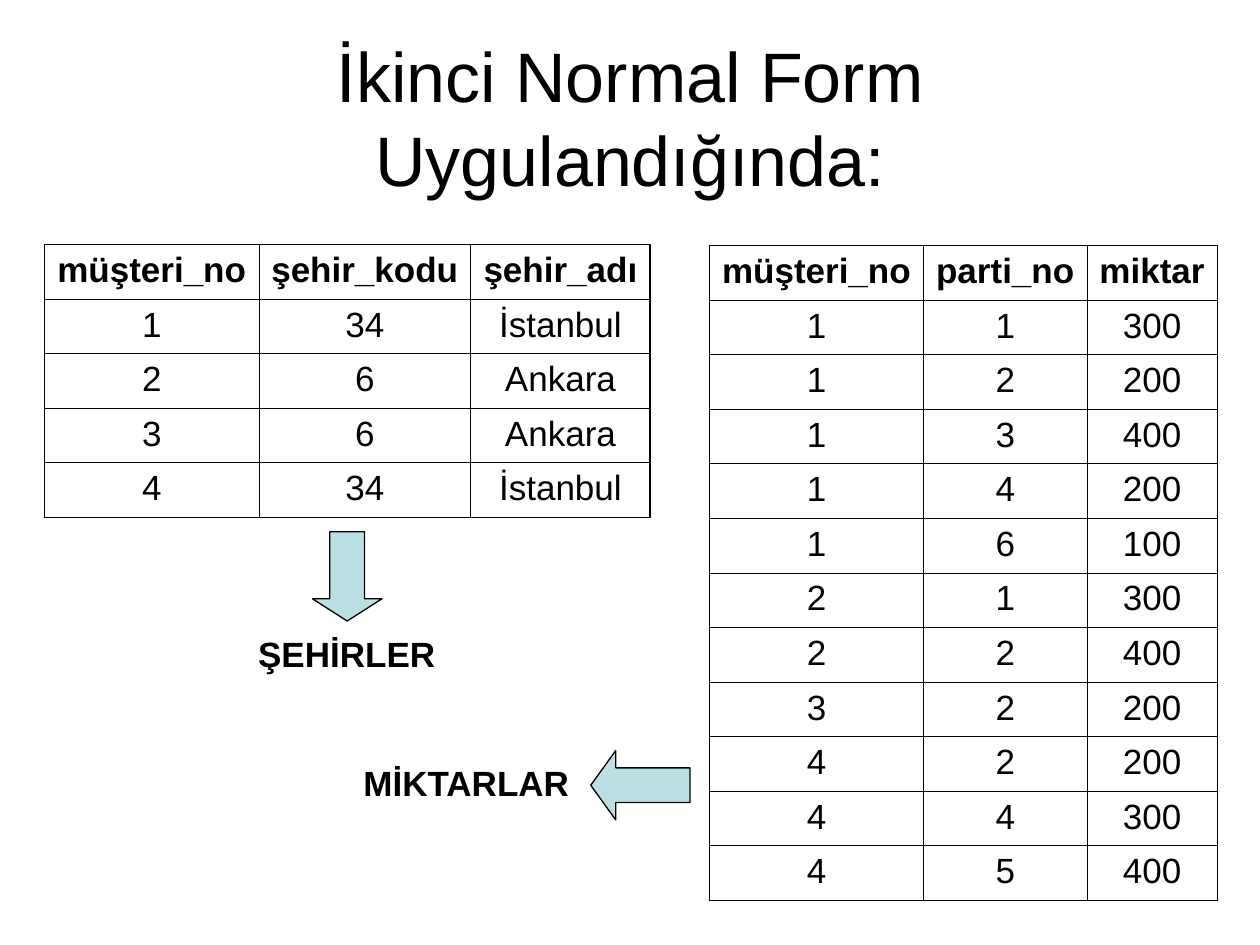
from dataclasses import dataclass

from lxml import etree
from pptx import Presentation
from pptx.dml.color import RGBColor
from pptx.enum.shapes import MSO_SHAPE
from pptx.enum.text import MSO_ANCHOR, PP_ALIGN
from pptx.oxml.ns import qn
from pptx.slide import Slide
from pptx.table import _Cell
from pptx.text.text import TextFrame
from pptx.util import Cm, Pt

DOWN, LEFT = MSO_SHAPE.DOWN_ARROW, MSO_SHAPE.LEFT_ARROW
CENTER = PP_ALIGN.CENTER
TOP, MIDDLE = MSO_ANCHOR.TOP, MSO_ANCHOR.MIDDLE
COLORS = {"ink": "000000", "arrow": "BBE0E3"}
ROW = 1.1  # row height in cm
PAD = 0.2  # side margin of a cell in cm
THIN, THICK = 0.45, 1.08  # inner and outer rules in points
HEAD = {"name": "Arial", "size": Pt(20), "bold": True}
BODY = {**HEAD, "bold": False}
TITLE = {**BODY, "size": Pt(40)}


@dataclass
class Grid:
    left: float
    top: float
    cols: list[float]
    rows: list[list[str]]


@dataclass
class Arrow:
    kind: MSO_SHAPE
    box: tuple[float, float, float, float]
    head: float


@dataclass
class Label:
    text: str
    box: tuple[float, float, float, float]
    style: dict
    anchor: MSO_ANCHOR = TOP
    inset: float = 0.25


GRIDS = [
    Grid(14.3, 4.95, [4.32, 3.29, 2.63], [
        ["müşteri_no", "parti_no", "miktar"],
        ["1", "1", "300"],
        ["1", "2", "200"],
        ["1", "3", "400"],
        ["1", "4", "200"],
        ["1", "6", "100"],
        ["2", "1", "300"],
        ["2", "2", "400"],
        ["3", "2", "200"],
        ["4", "2", "200"],
        ["4", "4", "300"],
        ["4", "5", "400"],
    ]),
    Grid(0.9, 4.93, [4.32, 4.27, 3.62], [
        ["müşteri_no", "şehir_kodu", "şehir_adı"],
        ["1", "34", "İstanbul"],
        ["2", "6", "Ankara"],
        ["3", "6", "Ankara"],
        ["4", "34", "İstanbul"],
    ]),
]
ARROWS = [
    Arrow(DOWN, (6.3, 10.72, 1.4, 1.8), 0.32),
    Arrow(LEFT, (11.91, 15.13, 2.0, 1.4), 0.36),
]
LABELS = [
    Label("İkinci Normal Form Uygulandığında:", (1.27, 0.76, 22.86, 3.18),
          TITLE, MIDDLE, 0.5),
    Label("ŞEHİRLER", (3.89, 12.62, 6.2, 1.12), HEAD),
    Label("MİKTARLAR", (6.3, 15.23, 6.2, 1.12), HEAD),
]


def color(name: str) -> RGBColor:
    return RGBColor.from_string(COLORS[name])


def write(frame: TextFrame, text: str, style: dict) -> None:
    para = frame.paragraphs[0]
    para.alignment = CENTER
    run = para.add_run()
    run.text = text
    for key, value in style.items():
        setattr(run.font, key, value)
    run.font.color.rgb = color("ink")


def rule(cell: _Cell, side: str, width: float) -> None:
    props = cell._tc.get_or_add_tcPr()
    line = etree.SubElement(props, qn(f"a:ln{side}"), w=str(int(Pt(width))))
    fill = etree.SubElement(line, qn("a:solidFill"))
    etree.SubElement(fill, qn("a:srgbClr"), val=COLORS["ink"])


def draw_grid(slide: Slide, grid: Grid) -> None:
    high, wide = len(grid.rows), len(grid.cols)
    table = slide.shapes.add_table(
        high, wide, Cm(grid.left), Cm(grid.top),
        Cm(sum(grid.cols)), Cm(ROW * high)).table
    table.first_row = table.horz_banding = False
    for col, width in zip(table.columns, grid.cols):
        col.width = Cm(width)
    for r, row in enumerate(grid.rows):
        table.rows[r].height = Cm(ROW)
        for c, text in enumerate(row):
            cell = table.cell(r, c)
            outer = {"L": c == 0, "R": c == wide - 1,
                     "T": r == 0, "B": r == high - 1}
            for side, edge in outer.items():
                rule(cell, side, THICK if edge else THIN)
            cell.fill.background()
            cell.margin_left = cell.margin_right = Cm(PAD)
            write(cell.text_frame, text, BODY if r else HEAD)


def draw_arrow(slide: Slide, arrow: Arrow) -> None:
    shape = slide.shapes.add_shape(arrow.kind, *map(Cm, arrow.box))
    shape.adjustments[0] = 0.5
    shape.adjustments[1] = arrow.head
    shape.shadow.inherit = False
    shape.fill.solid()
    shape.fill.fore_color.rgb = color("arrow")
    shape.line.color.rgb = color("ink")
    shape.line.width = Pt(0.75)


def draw_label(slide: Slide, label: Label) -> None:
    frame = slide.shapes.add_textbox(*map(Cm, label.box)).text_frame
    frame.word_wrap = True
    frame.vertical_anchor = label.anchor
    frame.margin_left = frame.margin_right = Cm(label.inset)
    write(frame, label.text, label.style)


def main() -> None:
    deck = Presentation()
    deck.slide_width, deck.slide_height = Cm(25.4), Cm(19.05)
    slide = deck.slides.add_slide(deck.slide_layouts[6])
    # Tables
    for grid in GRIDS:
        draw_grid(slide, grid)
    # Arrows from each table to its name
    for arrow in ARROWS:
        draw_arrow(slide, arrow)
    # Title and table names
    for label in LABELS:
        draw_label(slide, label)
    deck.save("out.pptx")


if __name__ == "__main__":
    main()
